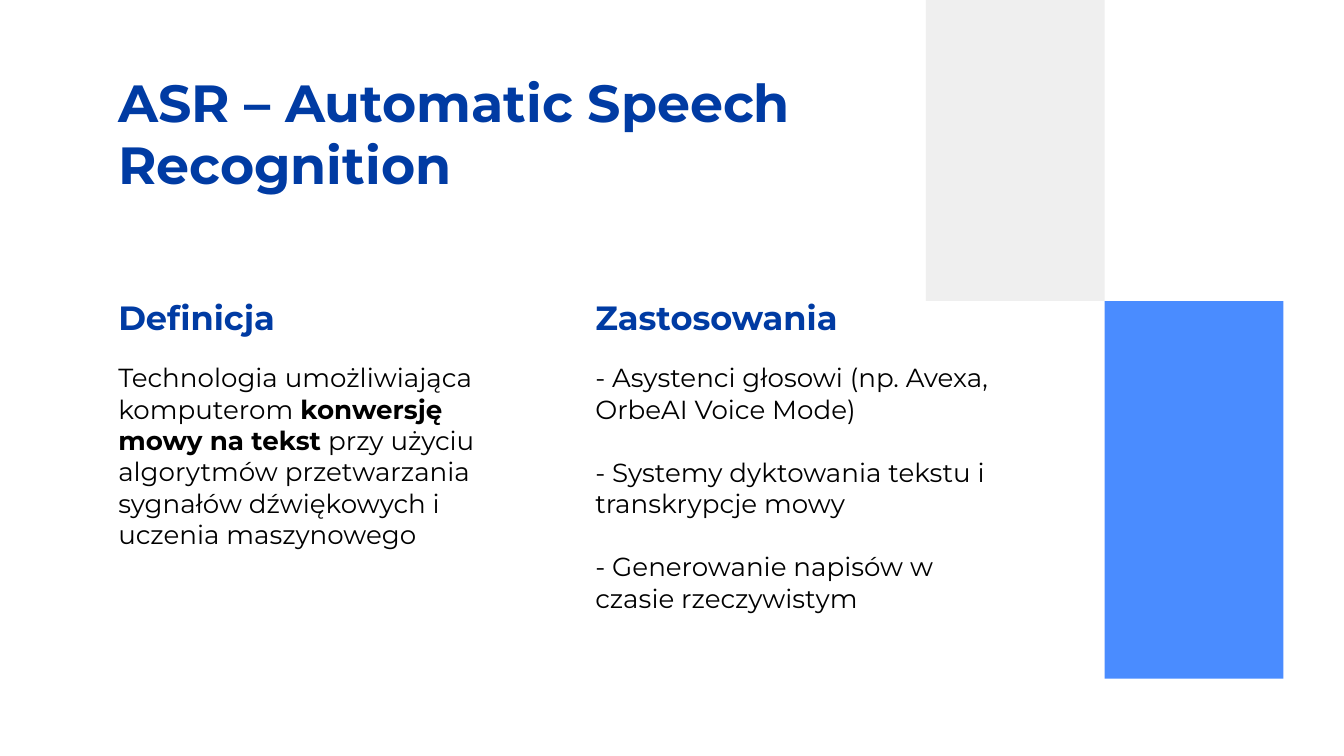
from lxml.etree import SubElement
from pptx import Presentation
from pptx.dml.color import RGBColor
from pptx.enum.shapes import MSO_SHAPE
from pptx.enum.text import MSO_ANCHOR, MSO_AUTO_SIZE, PP_ALIGN
from pptx.oxml.ns import qn
from pptx.util import Inches, Pt

COLORS = {"heading": "003BA3", "text": "000000", "blue": "4A8CFF", "gray": "EFEFEF"}
FONT = "Montserrat"
COLUMN_WIDTH = 3.27
HEADING_HEIGHT = 0.51
BODY_OFFSET = 0.48
BODY_HEIGHT = 1.4


def fill_placeholder(placeholder, box, text, size, color, bold=False, gap=0):
    left, top, width, height = box
    placeholder.left, placeholder.top = Inches(left), Inches(top)
    placeholder.width, placeholder.height = Inches(width), Inches(height)
    frame = placeholder.text_frame
    frame.text = text
    frame.word_wrap = True
    frame.auto_size = MSO_AUTO_SIZE.NONE
    frame.vertical_anchor = MSO_ANCHOR.TOP
    frame.margin_left = frame.margin_right = Inches(0.1)
    frame.margin_top = frame.margin_bottom = Inches(0.1)
    for paragraph in frame.paragraphs:
        paragraph.alignment = PP_ALIGN.LEFT
        paragraph.line_spacing = 1.0
        paragraph.space_before = Pt(0)
        paragraph.space_after = Pt(gap)
        properties = paragraph._p.get_or_add_pPr()
        properties.set("marL", "0")
        properties.set("indent", "0")
        SubElement(properties, qn("a:buNone"))
        for run in paragraph.runs:
            format_run(run, size, color, bold)


def format_run(run, size, color, bold):
    run.font.name = FONT
    run.font.size = Pt(size)
    run.font.bold = bold
    run.font.color.rgb = RGBColor.from_string(COLORS[color])


def add_column(heading, body, left, top, title, text, gap=0):
    fill_placeholder(heading, (left, top, COLUMN_WIDTH, HEADING_HEIGHT),
                     title, 18, "heading", bold=True)
    fill_placeholder(body, (left, top + BODY_OFFSET, COLUMN_WIDTH, BODY_HEIGHT),
                     text, 14, "text", gap=gap)


def extend_definition(definition):
    paragraph = definition.text_frame.paragraphs[0]
    continuation = [
        ("konwersję mowy na tekst", True),
        (" przy użyciu algorytmów przetwarzania sygnałów dźwiękowych"
         " i uczenia maszynowego", False),
    ]
    for piece, bold in continuation:
        run = paragraph.add_run()
        run.text = piece
        format_run(run, 14, "text", bold)


def add_blocks(slide, left, top, width, gray_height, blue_height):
    blocks = [
        (left + width, top + gray_height, blue_height, "blue"),
        (left, top, gray_height, "gray"),
    ]
    for block_left, block_top, height, color in blocks:
        block = slide.shapes.add_shape(
            MSO_SHAPE.RECTANGLE, Inches(block_left), Inches(block_top),
            Inches(width), Inches(height))
        block.shadow.inherit = False
        block.fill.solid()
        block.fill.fore_color.rgb = RGBColor.from_string(COLORS[color])
        block.line.fill.background()


def main():
    presentation = Presentation()
    presentation.slide_width = Inches(10)
    presentation.slide_height = Inches(10) * 9 // 16
    slide = presentation.slides.add_slide(
        presentation.slide_layouts.get_by_name("Comparison"))
    title, *columns = list(slide.placeholders)[:5]
    definition_heading, definition, uses_heading, uses = columns

    fill_placeholder(title, (0.78, 0.42, 8.44, 0.63),
                     "ASR – Automatic Speech \vRecognition", 28, "heading", bold=True)
    add_column(definition_heading, definition, 0.78, 2.11, "Definicja",
               "Technologia umożliwiająca komputerom ")
    extend_definition(definition)
    use_cases = [
        "- Asystenci głosowi (np. Avexa, OrbeAI Voice Mode)",
        "- Systemy dyktowania tekstu i transkrypcje mowy",
        "- Generowanie napisów w czasie rzeczywistym",
    ]
    add_column(uses_heading, uses, 4.33, 2.11, "Zastosowania",
               "\n".join(use_cases), gap=17)
    add_blocks(slide, 6.89, 0, 1.33, 2.24, 2.81)
    presentation.save("out.pptx")


if __name__ == "__main__":
    main()
